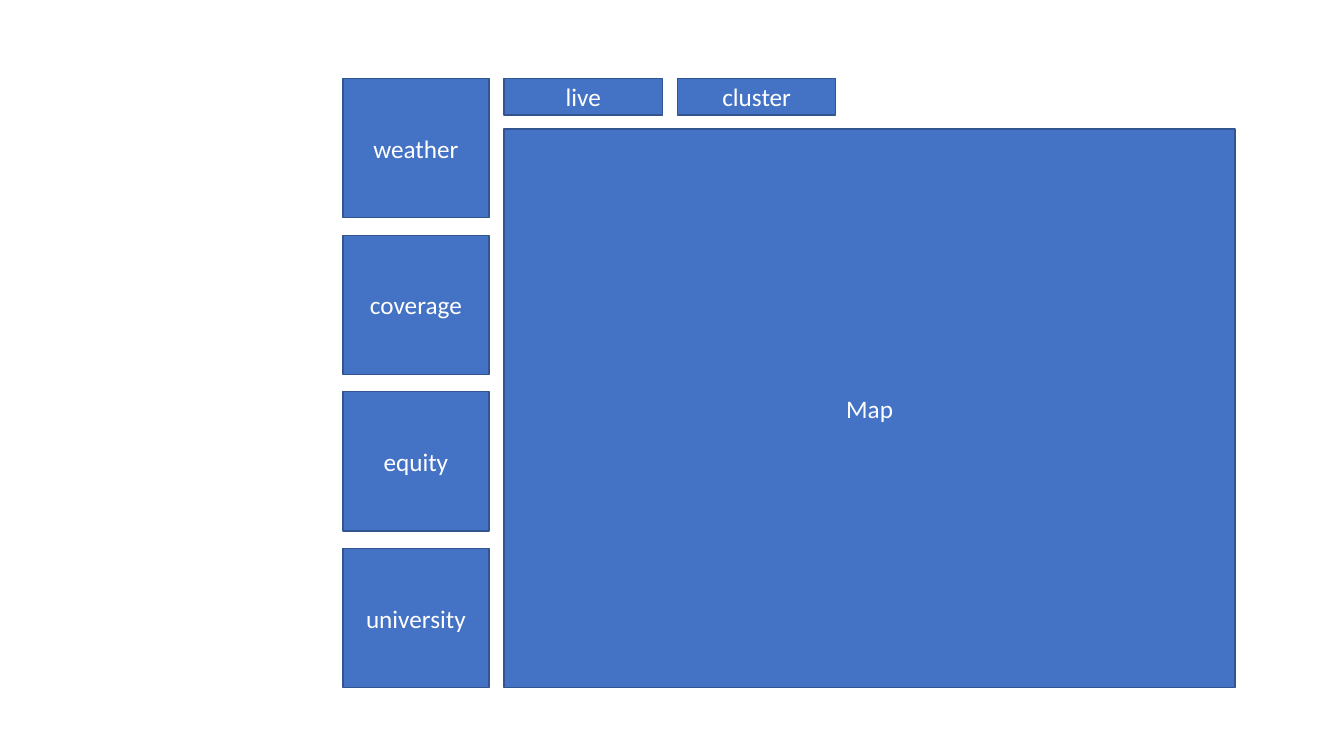
import pptx
import pptx.dml.color
import pptx.enum.shapes
import pptx.enum.text
import pptx.util

Inches = pptx.util.Inches
BLUE = pptx.dml.color.RGBColor(0x44, 0x72, 0xC4)
DARK_BLUE = pptx.dml.color.RGBColor(0x32, 0x54, 0x91)
WHITE = pptx.dml.color.RGBColor(0xFF, 0xFF, 0xFF)


def write_text(frame, text, *, font="Calibri", size=18, color=WHITE,
               align=pptx.enum.text.PP_ALIGN.CENTER,
               anchor=pptx.enum.text.MSO_ANCHOR.MIDDLE):
    frame.word_wrap = True
    frame.vertical_anchor = anchor
    paragraph = frame.paragraphs[0]
    paragraph.alignment = align
    run = paragraph.add_run()
    run.text = text
    run.font.name = font
    run.font.size = pptx.util.Pt(size)
    run.font.color.rgb = color


class Wireframe:
    """Holds the panel style and the current slide."""

    def __init__(self, slide, fill=BLUE, outline=DARK_BLUE, outline_width=1):
        self.slide = slide
        self.fill = fill
        self.outline = outline
        self.outline_width = outline_width

    def panel(self, label, left, top, width, height):
        panel = self.slide.shapes.add_shape(
            pptx.enum.shapes.MSO_SHAPE.RECTANGLE,
            Inches(left), Inches(top), Inches(width), Inches(height))
        panel.shadow.inherit = False
        panel.fill.solid()
        panel.fill.fore_color.rgb = self.fill
        panel.line.color.rgb = self.outline
        panel.line.width = pptx.util.Pt(self.outline_width)
        write_text(panel.text_frame, label)


def main():
    deck = pptx.Presentation()
    deck.slide_width = Inches(13.33)
    deck.slide_height = Inches(7.5)
    wireframe = Wireframe(deck.slides.add_slide(deck.slide_layouts[6]))

    top, bottom = 0.78, 6.82
    map_left, map_top = 5, 1.28

    # Map area
    wireframe.panel("Map", map_left, map_top, 7.25, bottom - map_top)

    # Tabs above the map
    for i, tab in enumerate(["live", "cluster"]):
        wireframe.panel(tab, map_left + i * 1.72, top, 1.57, 0.36)

    # Sidebar, spread evenly from top to bottom
    topics = ["weather", "coverage", "equity", "university"]
    topic_height = 1.38
    topic_step = (bottom - top - topic_height) / (len(topics) - 1)
    for i, topic in enumerate(topics):
        wireframe.panel(topic, 3.4, top + i * topic_step, 1.45, topic_height)

    deck.save("out.pptx")


if __name__ == "__main__":
    main()
